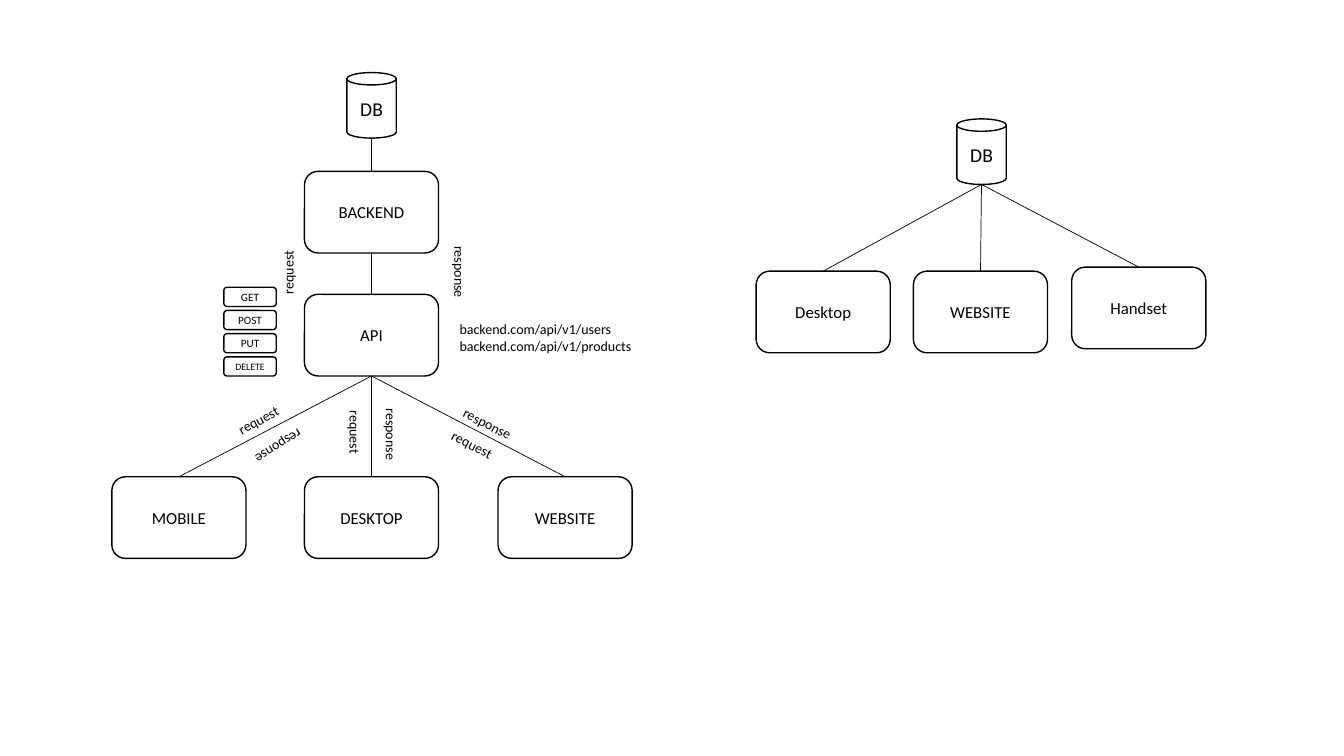
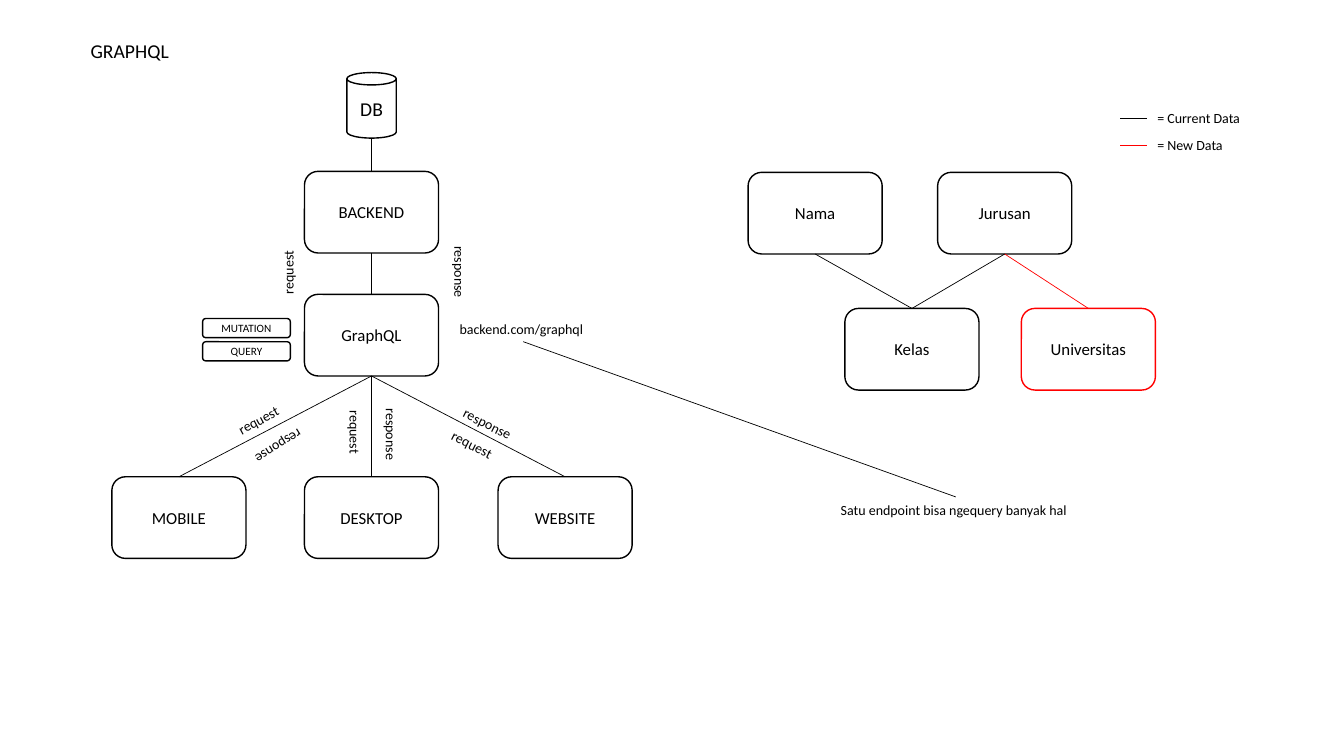
from lxml.etree import SubElement
from pptx import Presentation
from pptx.dml.color import RGBColor
from pptx.enum.shapes import MSO_CONNECTOR, MSO_SHAPE
from pptx.enum.text import MSO_ANCHOR, MSO_AUTO_SIZE, PP_ALIGN
from pptx.oxml.ns import qn
from pptx.util import Inches, Pt

BLACK = RGBColor(0x00, 0x00, 0x00)
RED = RGBColor(0xFF, 0x00, 0x00)
FONT = "Calibri"
NODE_WIDTH, NODE_HEIGHT = 1.33, 0.81
CHIP_HEIGHT, CHIP_STEP = 0.19, 0.23
LABEL_HEIGHT = 0.27
LABEL_WIDTHS = {"request": 0.64, "response": 0.72}

# Word, left, top and rotation of each label beside the server tree's lines
TRAFFIC_LABELS = [
    ("request", 4.37, 4.28, 26.6),
    ("response", 4.48, 4.07, 26.6),
    ("request", 3.2, 4.16, 90),
    ("response", 3.52, 4.18, 90),
    ("request", 2.25, 4.03, 331.7),
    ("response", 2.4, 4.3, 148.1),
    ("request", 2.54, 2.56, 270),
    ("response", 4.2, 2.57, 90),
]


def style_text(frame, size, align):
    for paragraph in frame.paragraphs:
        paragraph.alignment = align
        for run in paragraph.runs:
            run.font.name = FONT
            run.font.size = Pt(size)
            run.font.color.rgb = BLACK


def add_outlined(shapes, preset, text, left, top, width, height, size, color=BLACK):
    outlined = shapes.add_shape(
        preset, Inches(left), Inches(top), Inches(width), Inches(height))
    outlined.shadow.inherit = False
    outlined.fill.background()
    outlined.line.color.rgb = color
    outlined.line.width = Pt(1)
    frame = outlined.text_frame
    frame.text = text
    frame.vertical_anchor = MSO_ANCHOR.MIDDLE
    style_text(frame, size, PP_ALIGN.CENTER)
    return outlined


def add_node(slide, text, left, top, color=BLACK):
    return add_outlined(slide.shapes, MSO_SHAPE.ROUNDED_RECTANGLE, text,
                        left, top, NODE_WIDTH, NODE_HEIGHT, 12, color)


def add_database(slide, left, top):
    return add_outlined(slide.shapes, MSO_SHAPE.CAN, "DB", left, top, 0.49, 0.65, 14)


def add_chips(slide, chips, left, top, width):
    """Stack small grouped boxes, given as (text, size) pairs."""
    stack = slide.shapes.add_group_shape()
    for row, (text, size) in enumerate(chips):
        chip = add_outlined(stack.shapes, MSO_SHAPE.ROUNDED_RECTANGLE, text, left,
                            top + row * CHIP_STEP, width, CHIP_HEIGHT, size)
        frame = chip.text_frame
        frame.margin_left = frame.margin_right = 0
        frame.margin_top = frame.margin_bottom = 0


def add_label(slide, text, left, top, width, height=LABEL_HEIGHT, size=10,
              rotation=0, wrap=False):
    label = slide.shapes.add_textbox(
        Inches(left), Inches(top), Inches(width), Inches(height))
    label.rotation = rotation
    frame = label.text_frame
    frame.text = text
    frame.word_wrap = wrap
    frame.auto_size = MSO_AUTO_SIZE.SHAPE_TO_FIT_TEXT
    style_text(frame, size, PP_ALIGN.LEFT)


def add_line(slide, start, end, color=BLACK):
    line = slide.shapes.add_connector(MSO_CONNECTOR.STRAIGHT, *start, *end)
    line.line.color.rgb = color
    line.line.width = Pt(0.5)
    SubElement(line._element.spPr, qn("a:effectLst"))


def link(slide, upper, lower, color=BLACK):
    """Join the bottom centre of one shape to the top centre of another."""
    start = upper.left + upper.width // 2, upper.top + upper.height
    end = lower.left + lower.width // 2, lower.top
    add_line(slide, start, end, color)


def add_server_tree(slide, gateway_name):
    """Database, backend and gateway above the three clients."""
    database = add_database(slide, 3.44, 0.72)
    backend = add_node(slide, "BACKEND", 3.02, 1.7)
    gateway = add_node(slide, gateway_name, 3.02, 2.92)
    link(slide, database, backend)
    link(slide, backend, gateway)
    for name, left in [("MOBILE", 1.11), ("DESKTOP", 3.02), ("WEBSITE", 4.94)]:
        link(slide, gateway, add_node(slide, name, left, 4.73))
    for word, left, top, rotation in TRAFFIC_LABELS:
        add_label(slide, word, left, top, LABEL_WIDTHS[word], rotation=rotation)


def build_rest_slide(slide):
    add_server_tree(slide, "API")
    add_label(slide, "backend.com/api/v1/users\nbackend.com/api/v1/products",
              4.46, 3.13, 1.94, 0.61)
    add_chips(slide, [("GET", 8), ("POST", 8), ("PUT", 8), ("DELETE", 7)],
              2.22, 2.85, 0.52)

    # Clients that reach the database directly
    database = add_database(slide, 9.49, 1.18)
    for name, left, top in [("Desktop", 7.5, 2.69), ("WEBSITE", 9.06, 2.69),
                            ("Handset", 10.63, 2.65)]:
        link(slide, database, add_node(slide, name, left, top))


def build_graphql_slide(slide):
    add_label(slide, "GRAPHQL", 0.8, 0.34, 0.99, 0.34, size=14)
    add_server_tree(slide, "GraphQL")
    add_chips(slide, [("MUTATION", 8), ("QUERY", 8)], 2.01, 3.16, 0.87)

    # Endpoint and its explanation
    add_label(slide, "backend.com/graphql", 4.46, 3.13, 1.45)
    add_label(slide, "Satu endpoint bisa ngequery banyak hal", 8.24, 4.93, 2.47)
    add_line(slide, (Inches(5.19), Inches(3.39)), (Inches(9.48), Inches(4.93)))

    # Data graph
    nama = add_node(slide, "Nama", 7.42, 1.71)
    jurusan = add_node(slide, "Jurusan", 9.3, 1.71)
    kelas = add_node(slide, "Kelas", 8.38, 3.06)
    universitas = add_node(slide, "Universitas", 10.13, 3.06, RED)
    link(slide, nama, kelas)
    link(slide, jurusan, kelas)
    link(slide, jurusan, universitas, RED)

    # Legend
    for meaning, y, color in [("= Current Data", 1.17, BLACK), ("= New Data", 1.44, RED)]:
        add_line(slide, (Inches(11.11), Inches(y)), (Inches(11.38), Inches(y)), color)
        add_label(slide, meaning, 11.38, y - 0.13, 1.07, wrap=True)


def main():
    deck = Presentation()
    deck.slide_width, deck.slide_height = Inches(13.33), Inches(7.5)
    blank = deck.slide_layouts[6]
    for build in (build_rest_slide, build_graphql_slide):
        build(deck.slides.add_slide(blank))
    deck.save("out.pptx")


main()
